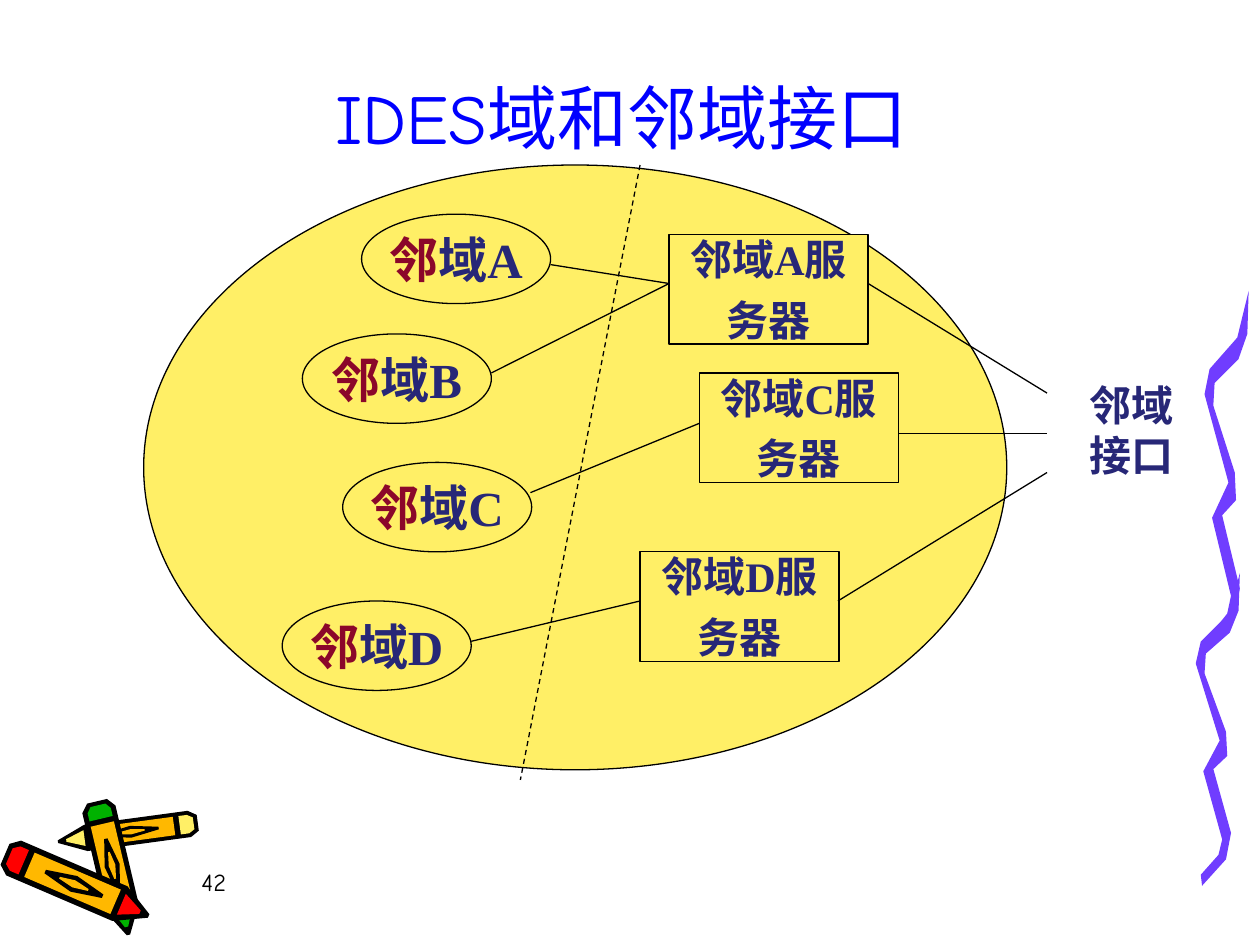
from pptx import Presentation, util as u
from pptx.dml.color import RGBColor
from pptx.enum import dml, shapes, text
from pptx.oxml.ns import qn
from lxml import etree
import math

COLORS = {
    "yellow": "FFEF66", "black": "000000", "blue": "0000FF", "navy": "272777",
    "maroon": "8B072A", "violet": "703DFF", "red": "FF0000",
    "orange": "FFB800", "green": "00B200",
}

RIBBON = [
    (4, 274), (18, 256), (21, 242), (6, 180), (19, 152), (0, 82), (4, 62),
    (26, 37), (35, 0), (34, 34), (27, 54), (8, 73), (7, 91), (24, 144),
    (25, 166), (14, 178), (28, 236), (24, 260), (5, 284),
]
RIBBON_HEIGHT = 2.84


class Diagram:
    latin, display = "Times New Roman", "Comic Neue"
    line_width = u.Pt(0.75)

    def __init__(self, slide):
        self.slide = slide

    def color(self, name):
        return RGBColor.from_string(COLORS[name])

    def style(self, font, size, color, name=latin, bold=True):
        font.size, font.name, font.bold = u.Pt(size), name, bold
        font.color.rgb = self.color(color)

    def title(self, words, left, top, width, height):
        title = self.slide.shapes.title
        title.left, title.top = u.Inches(left), u.Inches(top)
        title.width, title.height = u.Inches(width), u.Inches(height)
        frame = title.text_frame
        frame.text = words
        frame.auto_size = text.MSO_AUTO_SIZE.NONE
        frame.vertical_anchor = text.MSO_ANCHOR.BOTTOM
        paragraph = frame.paragraphs[0]
        paragraph.alignment = text.PP_ALIGN.CENTER
        self.style(paragraph.font, 40, "blue", self.display, False)

    def outline(self, points, color):
        placed = [(u.Inches(x), u.Inches(y)) for x, y in points]
        builder = self.slide.shapes.build_freeform(*placed[0])
        builder.add_line_segments(placed[1:], close=True)
        shape = builder.convert_to_shape()
        shape.shadow.inherit = False
        shape.fill.solid()
        shape.fill.fore_color.rgb = self.color(color)
        shape.line.fill.background()

    def ribbon(self, left, top, height):
        stretch = height / RIBBON_HEIGHT
        self.outline([(left + x / 100, top + y / 100 * stretch) for x, y in RIBBON], "violet")

    def crayon(self, back, tip, width, cap):
        (x, y), (dx, dy) = back, (tip[0] - back[0], tip[1] - back[1])
        length = math.hypot(dx, dy)

        def part(color, profile):
            edge = profile + [(along, -across) for along, across in reversed(profile)]
            self.outline([
                (x + along * dx - across * width / 2 * dy / length,
                 y + along * dy + across * width / 2 * dx / length)
                for along, across in edge], color)

        part("black", [(0, 0.6), (0.06, 1), (0.8, 1), (1, 0.1)])
        part(cap, [(0.03, 0.45), (0.07, 0.7), (0.13, 0.7)])
        part("orange", [(0.17, 0.7), (0.77, 0.7)])
        part(cap, [(0.81, 0.6), (0.94, 0.1)])
        part("black", [(0.28, 0.1), (0.48, 0.45), (0.68, 0.1)])
        part("orange", [(0.38, 0.05), (0.48, 0.2), (0.58, 0.05)])

    def shape(self, kind, left, top, width, height):
        shape = self.slide.shapes.add_shape(kind, *map(u.Inches, (left, top, width, height)))
        shape.shadow.inherit = False
        shape.fill.solid()
        shape.fill.fore_color.rgb = self.color("yellow")
        shape.line.color.rgb = self.color("black")
        shape.line.width = self.line_width
        shape.text_frame.word_wrap = False
        shape.text_frame.vertical_anchor = text.MSO_ANCHOR.MIDDLE
        return shape

    def domain(self, letter, left, top):
        shape = self.shape(shapes.MSO_SHAPE.OVAL, left, top, 1.5, 0.71)
        paragraph = shape.text_frame.paragraphs[0]
        paragraph.alignment = text.PP_ALIGN.CENTER
        paragraph.space_before = u.Pt(7)
        for words, color in (("邻", "maroon"), ("域" + letter, "navy")):
            run = paragraph.add_run()
            run.text = words
            self.style(run.font, 28, color)

    def server(self, letter, left, top):
        shape = self.shape(shapes.MSO_SHAPE.RECTANGLE, left, top, 1.58, 0.87)
        shape.text_frame.text = f"邻域{letter}服\n务器"
        for paragraph in shape.text_frame.paragraphs:
            paragraph.alignment = text.PP_ALIGN.CENTER
            paragraph.space_before = u.Pt(6)
            self.style(paragraph.font, 24, "navy")

    def label(self, words, left, top, width, height):
        box = self.slide.shapes.add_textbox(*map(u.Inches, (left, top, width, height)))
        box.text_frame.word_wrap = True
        paragraph = box.text_frame.paragraphs[0]
        paragraph.text = words
        return paragraph

    def line(self, start, end, dashed=False):
        line = self.slide.shapes.add_connector(
            shapes.MSO_CONNECTOR.STRAIGHT, *map(u.Inches, (*start, *end)))
        line.line.color.rgb = self.color("black")
        line.line.width = self.line_width
        if dashed:
            line.line.dash_style = dml.MSO_LINE.DASH
        etree.SubElement(line._element.spPr, qn("a:effectLst"))


def main():
    presentation = Presentation()
    presentation.slide_width, presentation.slide_height = u.Inches(10), u.Inches(7.5)
    diagram = Diagram(presentation.slides.add_slide(presentation.slide_layouts[5]))

    diagram.crayon((1.57, 6.53), (0.46, 6.68), 0.21, "yellow")
    diagram.crayon((0.77, 6.36), (1.02, 7.42), 0.27, "green")
    diagram.crayon((0.04, 6.78), (1.18, 7.27), 0.3, "red")
    diagram.ribbon(9.49, 4.55, 2.48)
    diagram.ribbon(9.56, 2.31, RIBBON_HEIGHT)

    number = diagram.label("42", 1.5, 6.83, 2.08, 0.5)
    diagram.style(number.font, 14, "black", diagram.display, False)
    diagram.title("IDES域和邻域接口", 0.43, 0.52, 9, 0.79)

    diagram.shape(shapes.MSO_SHAPE.OVAL, 1.14, 1.31, 6.85, 4.8)
    diagram.line((5.08, 1.31), (4.13, 6.19), dashed=True)
    for domain in (("A", 2.87, 1.7), ("B", 2.4, 2.65), ("C", 2.72, 3.67), ("D", 2.24, 4.77)):
        diagram.domain(*domain)
    for server in (("A", 5.31, 1.86), ("C", 5.55, 2.96), ("D", 5.08, 4.38)):
        diagram.server(*server)
    for start, end in (
        ((4.37, 2.1), (5.31, 2.25)), ((3.9, 2.96), (5.31, 2.25)),
        ((4.21, 3.91), (5.55, 3.36)), ((3.74, 5.09), (5.08, 4.77)),
        ((6.89, 2.25), (8.31, 3.12)), ((7.13, 3.44), (8.31, 3.44)),
        ((6.65, 4.77), (8.31, 3.75)),
    ):
        diagram.line(start, end)

    interface = diagram.label("邻域接口", 8.39, 2.96, 1.18, 0.9)
    interface.alignment = text.PP_ALIGN.CENTER
    interface.space_before = u.Pt(15)
    diagram.style(interface.font, 24, "navy")

    presentation.save("out.pptx")


if __name__ == "__main__":
    main()
